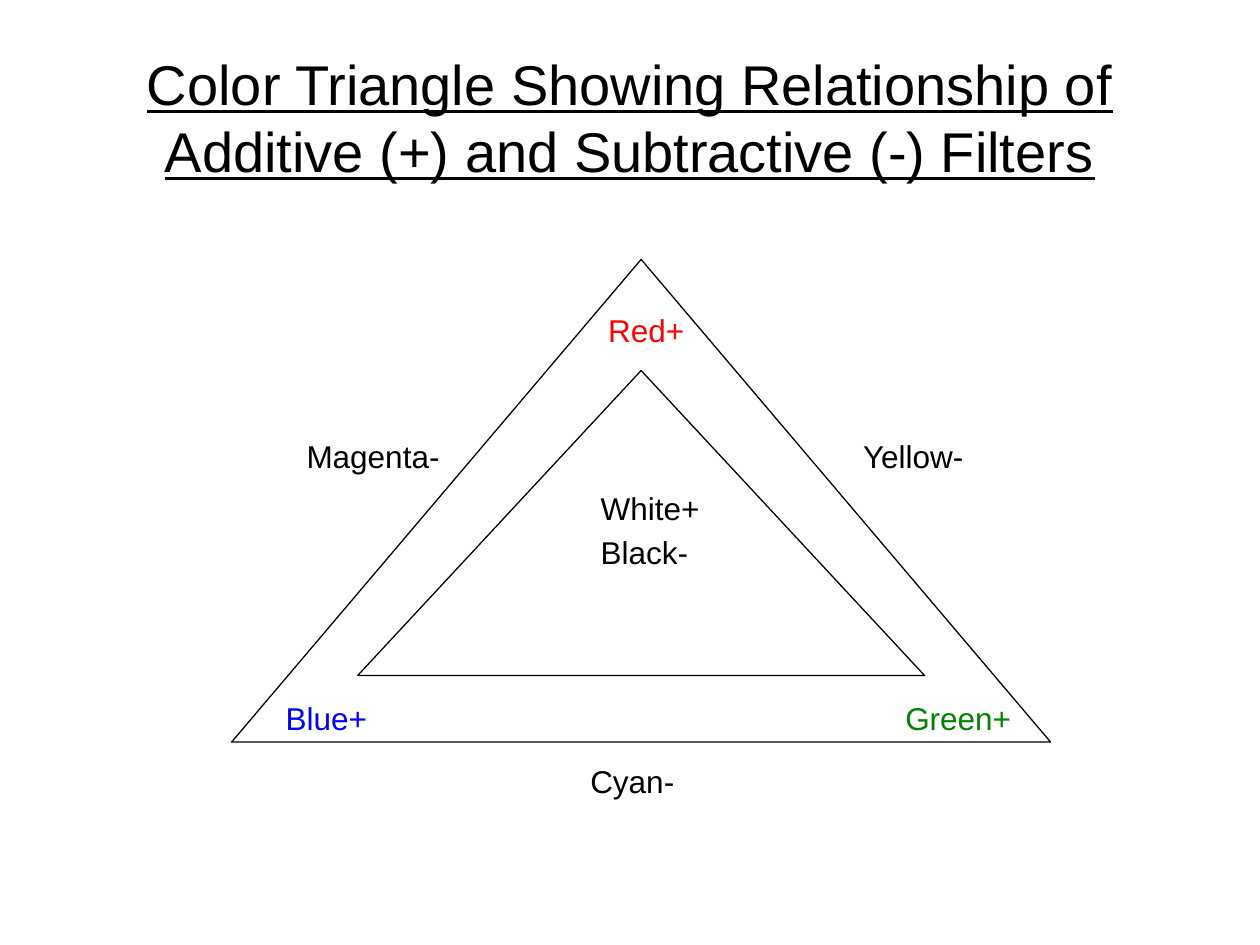
from dataclasses import dataclass

from pptx import Presentation
from pptx import util as u
from pptx.dml.color import RGBColor
from pptx.enum import shapes, text
from pptx.slide import Slide

BLACK = RGBColor(0x00, 0x00, 0x00)
RED = RGBColor(0xFF, 0x00, 0x00)
BLUE = RGBColor(0x00, 0x00, 0xFF)
GREEN = RGBColor(0x00, 0x80, 0x00)

LABEL_HEIGHT = 1.02
TITLE = "Color Triangle Showing Relationship of Additive (+) and Subtractive (-) Filters"


@dataclass
class Box:
    left: float
    top: float
    width: float
    height: float = LABEL_HEIGHT

    def lengths(self) -> list[u.Cm]:
        return [u.Cm(value) for value in (self.left, self.top, self.width, self.height)]


@dataclass
class Label:
    words: str
    box: Box
    color: RGBColor = BLACK


TRIANGLES = [
    Box(7.21, 7.47, 11.43, 6.15),
    Box(4.67, 5.23, 16.51, 9.73),
]
LABELS = [
    Label("Red+", Box(12.01, 6.15, 2.1), RED),
    Label("Blue+", Box(5.51, 13.97, 2.2), BLUE),
    Label("Green+", Box(18, 13.97, 2.7), GREEN),
    Label("White+", Box(11.86, 9.73, 2.56)),
    Label("Black-", Box(11.86, 10.62, 2.33)),
    Label("Yellow-", Box(17.15, 8.69, 2.65)),
    Label("Magenta-", Box(5.93, 8.69, 3.25)),
    Label("Cyan-", Box(11.65, 15.24, 2.25)),
]

TITLE_FRAME = {"word_wrap": True, "vertical_anchor": text.MSO_ANCHOR.MIDDLE}
TITLE_PARAGRAPH = {"alignment": text.PP_ALIGN.CENTER}
TITLE_FONT = {"name": "Arial", "size": u.Pt(32), "underline": True}
LABEL_FRAME = {"word_wrap": False, "auto_size": text.MSO_AUTO_SIZE.SHAPE_TO_FIT_TEXT}
LABEL_PARAGRAPH = {"alignment": text.PP_ALIGN.LEFT}
LABEL_FONT = {"name": "Arial", "size": u.Pt(18)}


def apply(target: object, values: dict) -> None:
    for name, value in values.items():
        setattr(target, name, value)


def draw_triangle(slide: Slide, box: Box) -> None:
    shape = slide.shapes.add_shape(shapes.MSO_SHAPE.ISOSCELES_TRIANGLE, *box.lengths())
    shape.shadow.inherit = False
    shape.fill.background()
    shape.line.color.rgb = BLACK
    shape.line.width = u.Pt(0.75)


def draw_text(slide: Slide, label: Label, frame_format: dict, paragraph_format: dict, font_format: dict) -> None:
    frame = slide.shapes.add_textbox(*label.box.lengths()).text_frame
    apply(frame, frame_format)
    paragraph = frame.paragraphs[0]
    apply(paragraph, paragraph_format)
    run = paragraph.add_run()
    run.text = label.words
    apply(run.font, font_format)
    run.font.color.rgb = label.color


def main() -> None:
    presentation = Presentation()
    presentation.slide_width, presentation.slide_height = u.Cm(25.4), u.Cm(19.05)
    slide = presentation.slides.add_slide(presentation.slide_layouts[6])
    title = Label(TITLE, Box(1.27, 0.76, 22.86, 3.18))
    draw_text(slide, title, TITLE_FRAME, TITLE_PARAGRAPH, TITLE_FONT)
    for box in TRIANGLES:
        draw_triangle(slide, box)
    for label in LABELS:
        draw_text(slide, label, LABEL_FRAME, LABEL_PARAGRAPH, LABEL_FONT)
    presentation.save("out.pptx")


if __name__ == "__main__":
    main()
